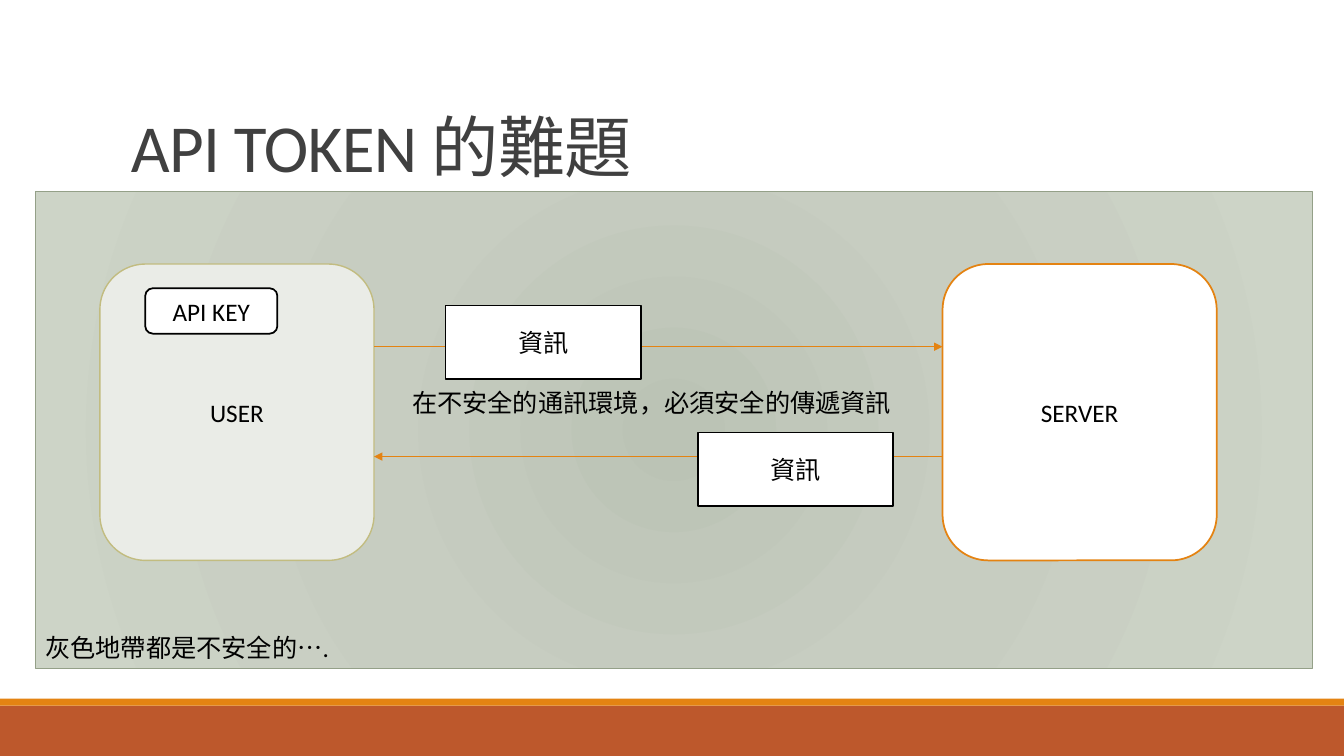
from dataclasses import dataclass

from pptx import Presentation
from pptx.dml.color import RGBColor
from pptx.enum.shapes import MSO_CONNECTOR, MSO_SHAPE
from pptx.enum.text import MSO_ANCHOR, PP_ALIGN
from pptx.oxml import parse_xml
from pptx.oxml.ns import qn
from pptx.util import Inches, Pt

RECT = MSO_SHAPE.RECTANGLE
ROUNDED = MSO_SHAPE.ROUNDED_RECTANGLE
STRAIGHT = MSO_CONNECTOR.STRAIGHT
CENTER, LEFT = PP_ALIGN.CENTER, PP_ALIGN.LEFT
MIDDLE, TOP, BOTTOM = MSO_ANCHOR.MIDDLE, MSO_ANCHOR.TOP, MSO_ANCHOR.BOTTOM

SLIDE_WIDTH, SLIDE_HEIGHT = Inches(13.33), Inches(7.5)
COLUMN, ROW = SLIDE_WIDTH / 100, SLIDE_HEIGHT / 100
DRAWING_NS = "http://schemas.openxmlformats.org/drawingml/2006/main"


@dataclass(frozen=True)
class Theme:
    font: str = "Calibri"
    title_size: int = 48
    body_size: int = 18
    title: str = "404040"
    ink: str = "000000"
    paper: str = "FFFFFF"
    accent: str = "E48312"
    footer: str = "BD582C"
    zone_line: str = "94A088"
    zone_stops: tuple = ((0, "BBC3B5"), (45, "C7CDC1"), (100, "CDD4C7"))
    user_fill: str = "EAECE7"
    user_line: str = "C2BC80"
    thin: float = 1
    medium: float = 1.25


@dataclass(frozen=True)
class Box:
    left: float
    top: float
    width: float
    height: float

    def inside(self, left, top, width, height):
        return Box(self.left + left, self.top + top, width, height)

    def emu(self):
        return (round(self.left * COLUMN), round(self.top * ROW),
                round(self.width * COLUMN), round(self.height * ROW))


THEME = Theme()


def rgb(color):
    return RGBColor.from_string(color)


def write(frame, text, size=THEME.body_size, color=THEME.ink,
          align=LEFT, anchor=TOP, wrap=True):
    frame.word_wrap = wrap
    frame.vertical_anchor = anchor
    paragraph = frame.paragraphs[0]
    paragraph.text = text
    paragraph.alignment = align
    paragraph.font.name = THEME.font
    paragraph.font.size = Pt(size)
    paragraph.font.color.rgb = rgb(color)
    return paragraph


def add_block(slide, box, fill, outline=None, weight=THEME.medium,
              outline_shape=RECT, text=None):
    block = slide.shapes.add_shape(outline_shape, *box.emu())
    block.shadow.inherit = False
    block.fill.solid()
    block.fill.fore_color.rgb = rgb(fill)
    if outline:
        block.line.color.rgb = rgb(outline)
        block.line.width = Pt(weight)
    else:
        block.line.fill.background()
    if text:
        write(block.text_frame, text, align=CENTER, anchor=MIDDLE)
    return block


def add_label(slide, box, text, **style):
    label = slide.shapes.add_textbox(*box.emu())
    return write(label.text_frame, text, **style)


def add_arrow(slide, start, end, height):
    y = round(height * ROW)
    arrow = slide.shapes.add_connector(
        STRAIGHT, round(start * COLUMN), y, round(end * COLUMN), y)
    arrow.line.color.rgb = rgb(THEME.accent)
    arrow.line.width = Pt(THEME.thin)
    arrow.line._get_or_add_ln().append(
        parse_xml(f'<a:tailEnd xmlns:a="{DRAWING_NS}" type="triangle"/>'))
    arrow._element.spPr.append(
        parse_xml(f'<a:effectLst xmlns:a="{DRAWING_NS}"/>'))


def shade_radially(block, stops):
    stop_list = "".join(
        f'<a:gs pos="{share * 1000}"><a:srgbClr val="{color}"/></a:gs>'
        for share, color in stops)
    gradient = parse_xml(
        f'<a:gradFill xmlns:a="{DRAWING_NS}" rotWithShape="1">'
        f'<a:gsLst>{stop_list}</a:gsLst><a:path path="circle">'
        '<a:fillToRect l="100000" t="100000" r="100000" b="100000"/>'
        '</a:path></a:gradFill>')
    properties = block._element.spPr
    properties.replace(properties.find(qn("a:solidFill")), gradient)


def draw_footer(slide, box):
    stripe_height = 0.93
    add_block(slide, box.inside(0, stripe_height, box.width,
                                box.height - stripe_height), THEME.footer)
    add_block(slide, box.inside(0, 0, box.width, stripe_height), THEME.accent)


def draw_title(slide, box):
    title = add_label(slide, box, "API TOKEN 的難題", size=THEME.title_size,
                      color=THEME.title, anchor=BOTTOM)
    title.line_spacing = 0.85
    title.runs[0].font._element.set("spc", "-50")


def draw_user(slide, box):
    add_block(slide, box, THEME.user_fill, THEME.user_line, THEME.thin,
              ROUNDED, "USER")
    add_block(slide, box.inside(3.38, 3.2, 9.83, 6), THEME.paper, THEME.ink,
              outline_shape=ROUNDED, text="API KEY")


def draw_server(slide, box):
    add_block(slide, box, THEME.paper, THEME.accent,
              outline_shape=ROUNDED, text="SERVER")


def draw_channel(slide, box):
    near, far = box.left, box.left + box.width
    add_arrow(slide, near, far, box.top + 10.93)
    add_arrow(slide, far, near, box.top + 25.47)
    add_label(slide, box.inside(2.1, 15.6, 38.85, 5.33),
              "在不安全的通訊環境，必須安全的傳遞資訊")
    for left, top in ((24.08, 22.27), (5.33, 5.47)):
        add_block(slide, box.inside(left, top, 14.55, 9.73), THEME.paper,
                  THEME.ink, text="資訊")


def draw_unsafe_zone(slide, box):
    zone = add_block(slide, box, THEME.paper, THEME.zone_line, THEME.thin)
    shade_radially(zone, THEME.zone_stops)
    add_label(slide, box.inside(0, 57.6, 22.2, 5.33),
              "灰色地帶都是不安全的….", wrap=False)
    user = box.inside(4.8, 9.6, 20.4, 39.2)
    server = box.inside(67.5, 9.6, 20.4, 39.2)
    user_edge = user.left + user.width
    draw_user(slide, user)
    draw_server(slide, server)
    draw_channel(slide, Box(user_edge, user.top,
                            server.left - user_edge, user.height))


def main():
    deck = Presentation()
    deck.slide_width, deck.slide_height = SLIDE_WIDTH, SLIDE_HEIGHT
    slide = deck.slides.add_slide(deck.slide_layouts[6])
    draw_footer(slide, Box(0, 92.4, 100, 7.6))
    draw_unsafe_zone(slide, Box(2.63, 25.33, 95.02, 63.07))
    draw_title(slide, Box(9, 4.13, 82.5, 21.2))
    deck.save("out.pptx")


if __name__ == "__main__":
    main()
